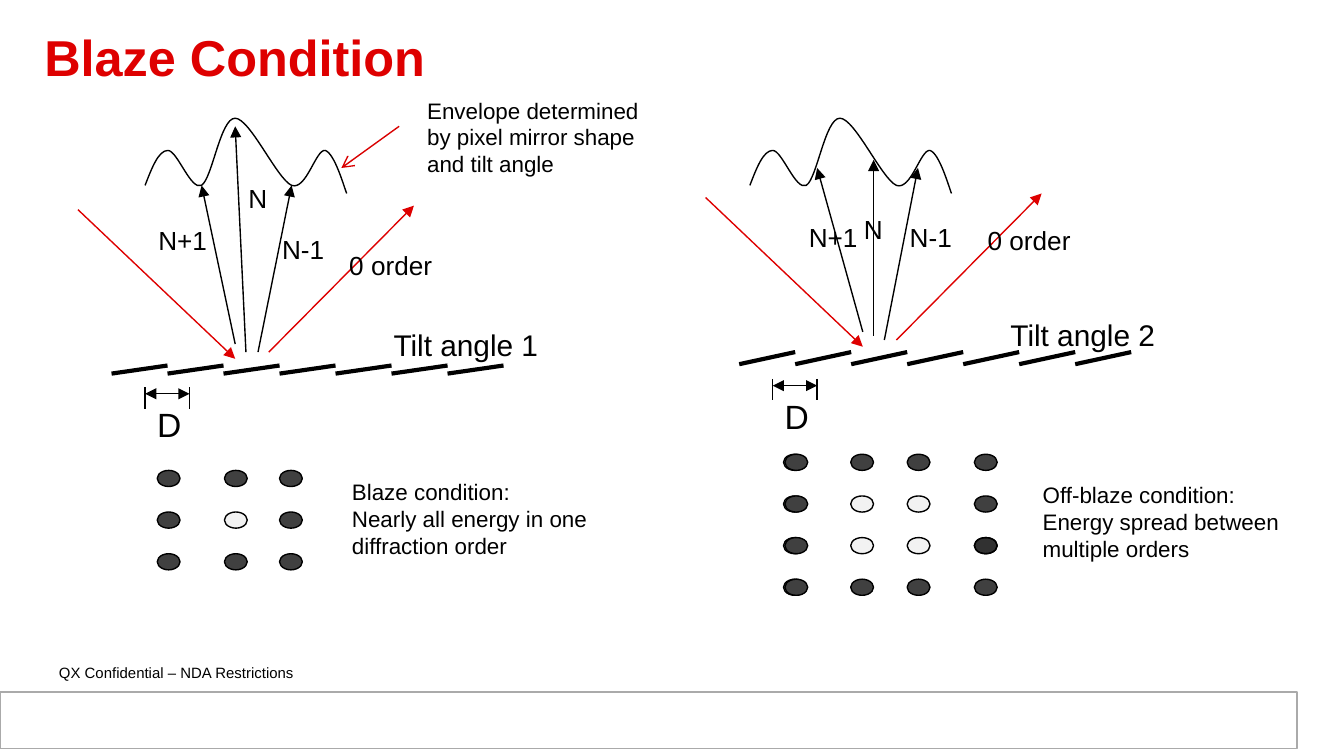
from dataclasses import dataclass

import pptx
import pptx.dml.color
import pptx.enum.shapes
import pptx.enum.text
import pptx.oxml.ns
import pptx.slide
import pptx.util
from lxml import etree

Inches = pptx.util.Inches
Pt = pptx.util.Pt
qn = pptx.oxml.ns.qn
Shape = pptx.enum.shapes.MSO_SHAPE

COLORS = {
    "black": "000000",
    "white": "FFFFFF",
    "red": "DE0000",
    "pointer": "D90000",
    "border": "AAAAAA",
    "dim": "404040",
    "bright": "F2F2F2",
    "teal": "00CC99",
}
SLIDE_W = 10
SLIDE_H = SLIDE_W * 9 / 16
PITCH = 5 / 12
DOT_W, DOT_H, DOT_GAP = 0.17, 0.12, 0.31
ENVELOPE = [
    (0, 0.5), (0.05, 0.37), (0.1, 0.24), (0.17, 0.24),
    (0.24, 0.24), (0.34, 0.54), (0.42, 0.5),
    (0.5, 0.45), (0.56, 0), (0.67, 0),
    (0.78, 0), (0.98, 0.45), (1.09, 0.5),
    (1.2, 0.54), (1.27, 0.23), (1.34, 0.24),
    (1.41, 0.26), (1.48, 0.51), (1.5, 0.56),
]


@dataclass
class Ray:
    start: tuple[float, float]
    end: tuple[float, float]
    color: str = "black"


@dataclass
class Label:
    text: str
    left: float
    top: float
    width: float
    height: float
    size: float


@dataclass
class Panel:
    mirror_left: float
    mirror_top: float
    mirror_drop: float
    envelope_left: float
    pitch_mark: tuple[float, float]
    rays: list[Ray]
    labels: list[Label]
    dot_columns: list[float]
    dot_top: float
    dot_rows: int
    bright: set[tuple[int, int]]


PANELS = [
    Panel(
        0.83, 2.72, 0.06, 1.08, (1.08, 2.93),
        [
            Ray((0.58, 1.56), (1.75, 2.67), "red"),
            Ray((2, 2.62), (3.08, 1.53), "red"),
            Ray((1.83, 2.62), (1.75, 0.94)),
            Ray((1.92, 2.62), (2.17, 1.38)),
            Ray((1.75, 2.56), (1.5, 1.38)),
        ],
        [
            Label("0 order", 2.5, 1.81, 0.82, 0.34, 14),
            Label("N", 1.75, 1.31, 0.34, 0.34, 14),
            Label("N-1", 2, 1.69, 0.52, 0.34, 14),
            Label("N+1", 1.08, 1.62, 0.67, 0.34, 14),
            Label("Tilt angle 1", 2.83, 2.38, 1.29, 0.37, 16),
            Label("Blaze condition:\nNearly all energy in one\ndiffraction order",
                  2.52, 3.51, 2.01, 0.71, 12),
            Label("Envelope determined\nby pixel mirror shape\nand tilt angle",
                  3.08, 0.67, 1.83, 0.71, 12),
        ],
        [1.17, 1.67, 2.08], 3.5, 3, {(1, 1)},
    ),
    Panel(
        5.5, 2.62, 0.09, 5.58, (5.75, 2.87),
        [
            Ray((5.25, 1.47), (6.42, 2.58), "red"),
            Ray((6.67, 2.53), (7.75, 1.44), "red"),
            Ray((6.5, 2.5), (6.5, 1.19)),
            Ray((6.58, 2.53), (6.83, 1.25)),
            Ray((6.42, 2.47), (6.08, 1.25)),
        ],
        [
            Label("0 order", 7.25, 1.62, 0.82, 0.34, 14),
            Label("N", 6.33, 1.54, 0.34, 0.34, 14),
            Label("N-1", 6.67, 1.6, 0.52, 0.34, 14),
            Label("N+1", 5.92, 1.6, 0.67, 0.34, 14),
            Label("Tilt angle 2", 7.42, 2.31, 1.29, 0.37, 16),
            Label("Off-blaze condition:\nEnergy spread between\nmultiple orders",
                  7.66, 3.53, 1.97, 0.71, 12),
        ],
        [5.84, 6.33, 6.75, 7.25], 3.38, 4, {(1, 1), (1, 2), (2, 1), (2, 2)},
    ),
]


def rgb(name: str) -> pptx.dml.color.RGBColor:
    return pptx.dml.color.RGBColor.from_string(COLORS[name])


def add_run(p, text: str, size: float, color: str = "black", bold: bool = False) -> None:
    r = p.add_run()
    r.text = text
    r.font.name = "Arial"
    r.font.size = Pt(size)
    r.font.bold = bold
    r.font.color.rgb = rgb(color)


def add_label(s: pptx.slide.Slide, label: Label) -> None:
    sp = s.shapes.add_textbox(*map(Inches, (label.left, label.top, label.width, label.height)))
    tf = sp.text_frame
    tf.word_wrap = False
    tf.auto_size = pptx.enum.text.MSO_AUTO_SIZE.SHAPE_TO_FIT_TEXT
    for i, text in enumerate(label.text.split("\n")):
        p = tf.add_paragraph() if i else tf.paragraphs[0]
        add_run(p, text, label.size)


def add_line(s: pptx.slide.Slide, start: tuple[float, float], end: tuple[float, float],
             color: str = "black", width: float = 0.75, head: str = "", tail: str = "") -> None:
    cx = s.shapes.add_connector(pptx.enum.shapes.MSO_CONNECTOR.STRAIGHT, *map(Inches, start + end))
    cx.line.color.rgb = rgb(color)
    cx.line.width = Pt(width)
    sp_pr = cx._element.spPr
    for tag, kind in (("a:headEnd", head), ("a:tailEnd", tail)):
        if kind:
            etree.SubElement(sp_pr.find(qn("a:ln")), qn(tag), type=kind)
    etree.SubElement(sp_pr, qn("a:effectLst"))


def add_solid(s: pptx.slide.Slide, kind: Shape, box: tuple[float, float, float, float],
              fill: str, line: str = "black", opacity: int = 100) -> None:
    sp = s.shapes.add_shape(kind, *map(Inches, box))
    sp.shadow.inherit = False
    sp.fill.solid()
    sp.fill.fore_color.rgb = rgb(fill)
    sp.line.color.rgb = rgb(line)
    sp.line.width = Pt(0.75)
    if opacity < 100:
        clr = sp._element.spPr.find(qn("a:solidFill"))[0]
        etree.SubElement(clr, qn("a:alpha"), val=str(opacity * 1000))


def add_dot(s: pptx.slide.Slide, left: float, top: float, fill: str, opacity: int = 100) -> None:
    add_solid(s, Shape.OVAL, (left, top, DOT_W, DOT_H), fill, opacity=opacity)


def add_envelope(s: pptx.slide.Slide, left: float, top: float = 0.88) -> None:
    points = [(Inches(left + x), Inches(top + y)) for x, y in ENVELOPE]
    builder = s.shapes.build_freeform(*points[0])
    builder.add_line_segments(points[1:], close=False)
    sp = builder.convert_to_shape()
    sp.shadow.inherit = False
    sp.fill.background()
    sp.line.color.rgb = rgb("black")
    sp.line.width = Pt(0.75)
    outline = sp._element.find(".//" + qn("a:path"))
    segments = outline.findall(qn("a:lnTo"))
    for i in range(0, len(segments), 3):
        curve = etree.SubElement(outline, qn("a:cubicBezTo"))
        for segment in segments[i:i + 3]:
            curve.append(segment[0])
            outline.remove(segment)


def add_panel(s: pptx.slide.Slide, panel: Panel) -> None:
    for i in range(7):
        x = panel.mirror_left + i * PITCH
        add_line(s, (x + PITCH, panel.mirror_top),
                 (x, panel.mirror_top + panel.mirror_drop), width=2.25)
    for ray in panel.rays:
        add_line(s, ray.start, ray.end, ray.color, tail="triangle")
    x, y = panel.pitch_mark
    add_line(s, (x, y), (x + 0.33, y), head="triangle", tail="triangle")
    for tick in (x, x + 0.33):
        add_line(s, (tick, y - 0.05), (tick, y + 0.11))
    add_label(s, Label("D", x - 0.01, y + 0.03, 0.38, 0.4, 18))
    add_envelope(s, panel.envelope_left)
    for row in range(panel.dot_rows):
        top = panel.dot_top + row * DOT_GAP
        if panel.dot_rows == 4:
            add_dot(s, panel.dot_columns[0] - 0.01, top, "teal", 22)
        for col, left in enumerate(panel.dot_columns):
            add_dot(s, left, top, "bright" if (row, col) in panel.bright else "dim")
    for label in panel.labels:
        add_label(s, label)


def main() -> None:
    prs = pptx.Presentation()
    prs.slide_width = Inches(SLIDE_W)
    prs.slide_height = Inches(SLIDE_H)
    s = prs.slides.add_slide(prs.slide_layouts[5])
    add_solid(s, Shape.RECTANGLE, (0, 5.15, 9.65, 0.42), "white", "border")
    add_label(s, Label("QX Confidential – NDA Restrictions", 0.34, 4.89, 2.77, 0.24, 8))
    title = s.shapes.title
    title.left, title.top, title.width, title.height = map(Inches, (0.25, 0.12, 9.25, 0.67))
    tf = title.text_frame
    tf.margin_left = tf.margin_right = Inches(0.08)
    tf.margin_top = tf.margin_bottom = Inches(0.04)
    tf.vertical_anchor = pptx.enum.text.MSO_ANCHOR.MIDDLE
    p = tf.paragraphs[0]
    p.alignment = pptx.enum.text.PP_ALIGN.LEFT
    p.line_spacing = 0.85
    add_run(p, "Blaze Condition", 27, "red", True)
    for panel in PANELS:
        add_panel(s, panel)
    add_dot(s, 7.25, 4, "black", 22)
    add_line(s, (2.97, 0.94), (2.54, 1.25), "pointer", tail="arrow")
    prs.save("out.pptx")


if __name__ == "__main__":
    main()
